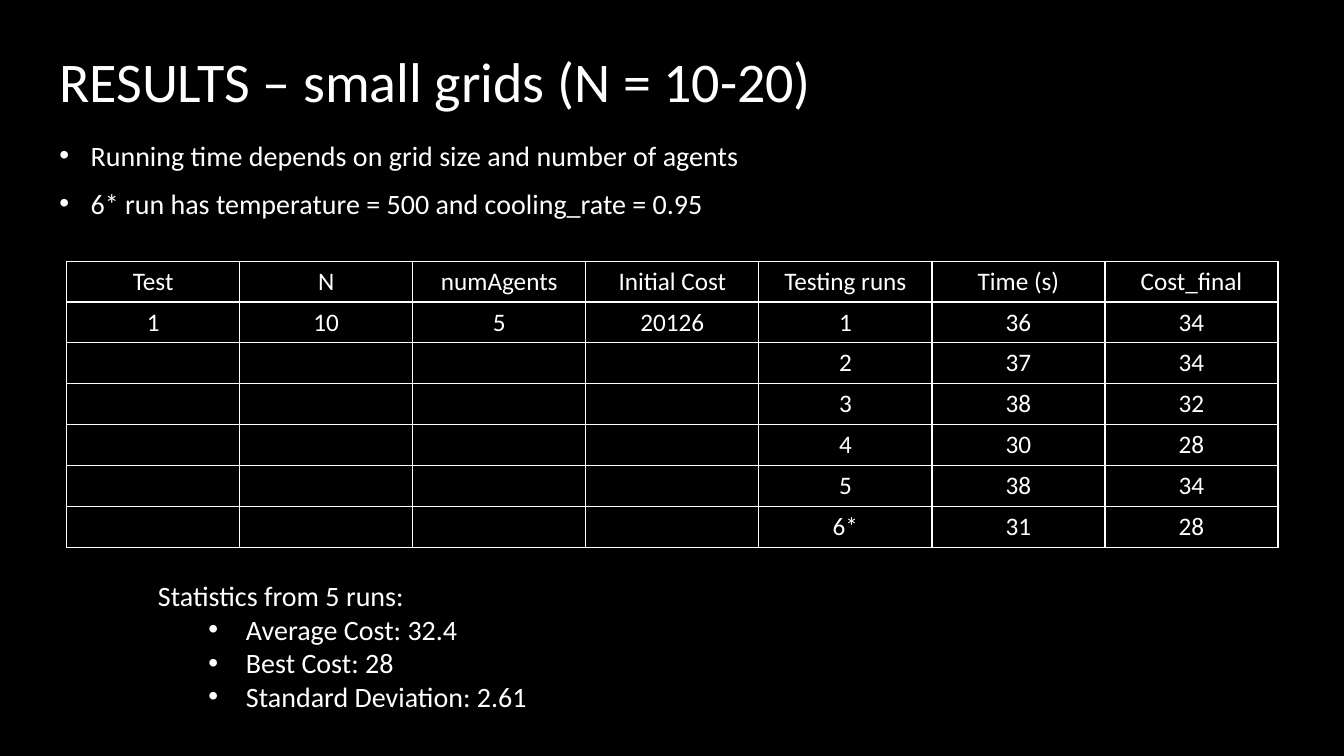
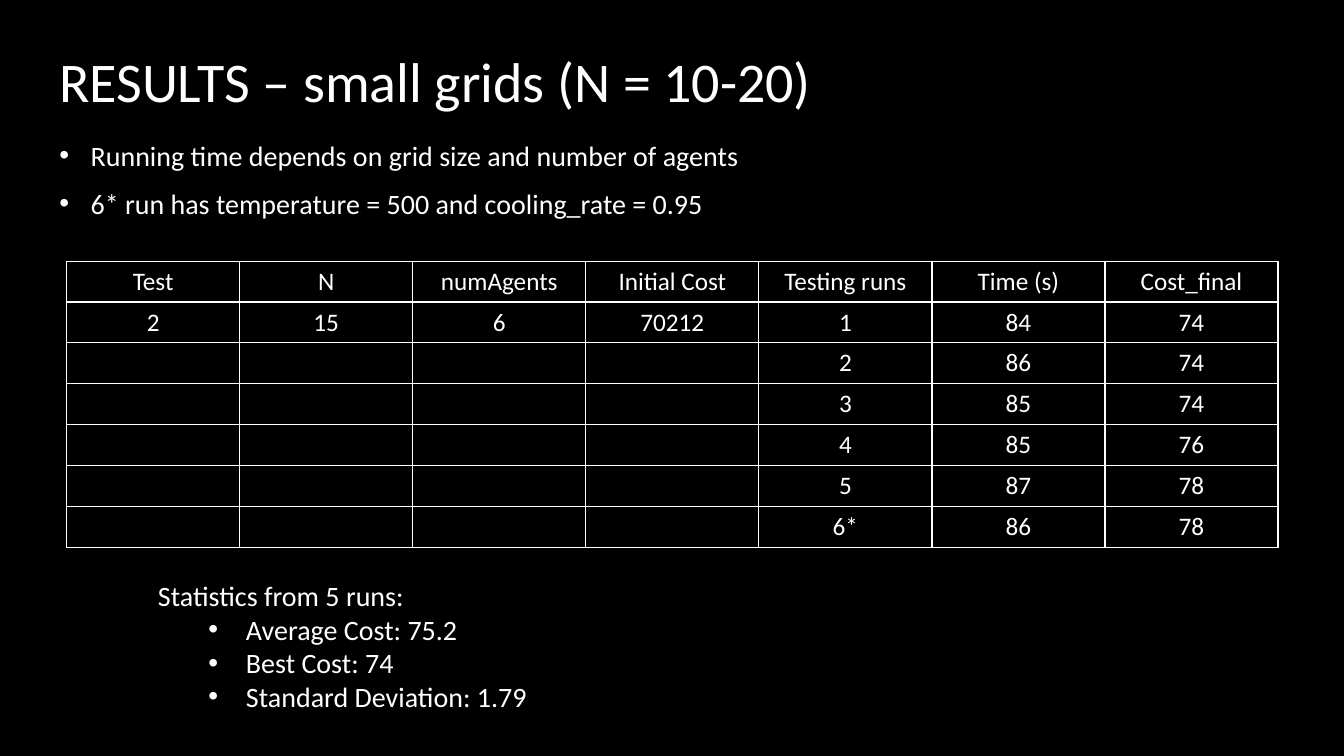
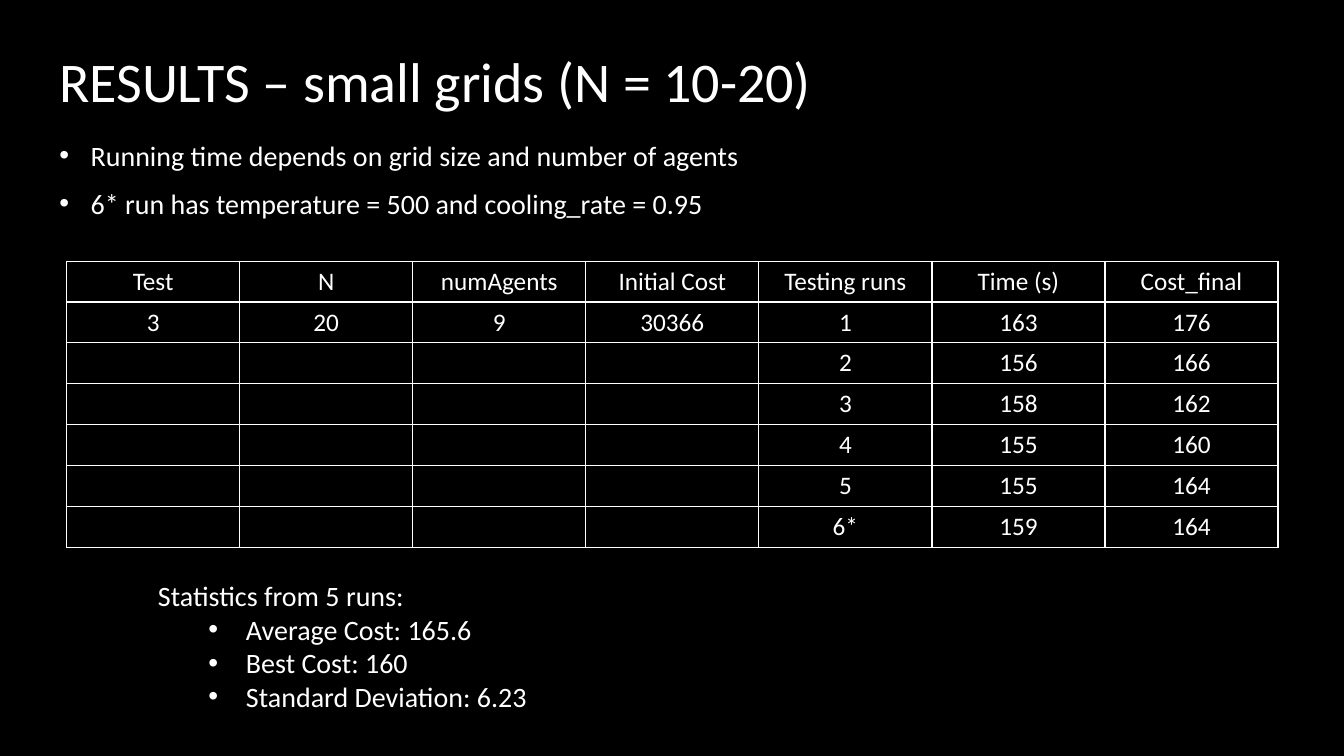
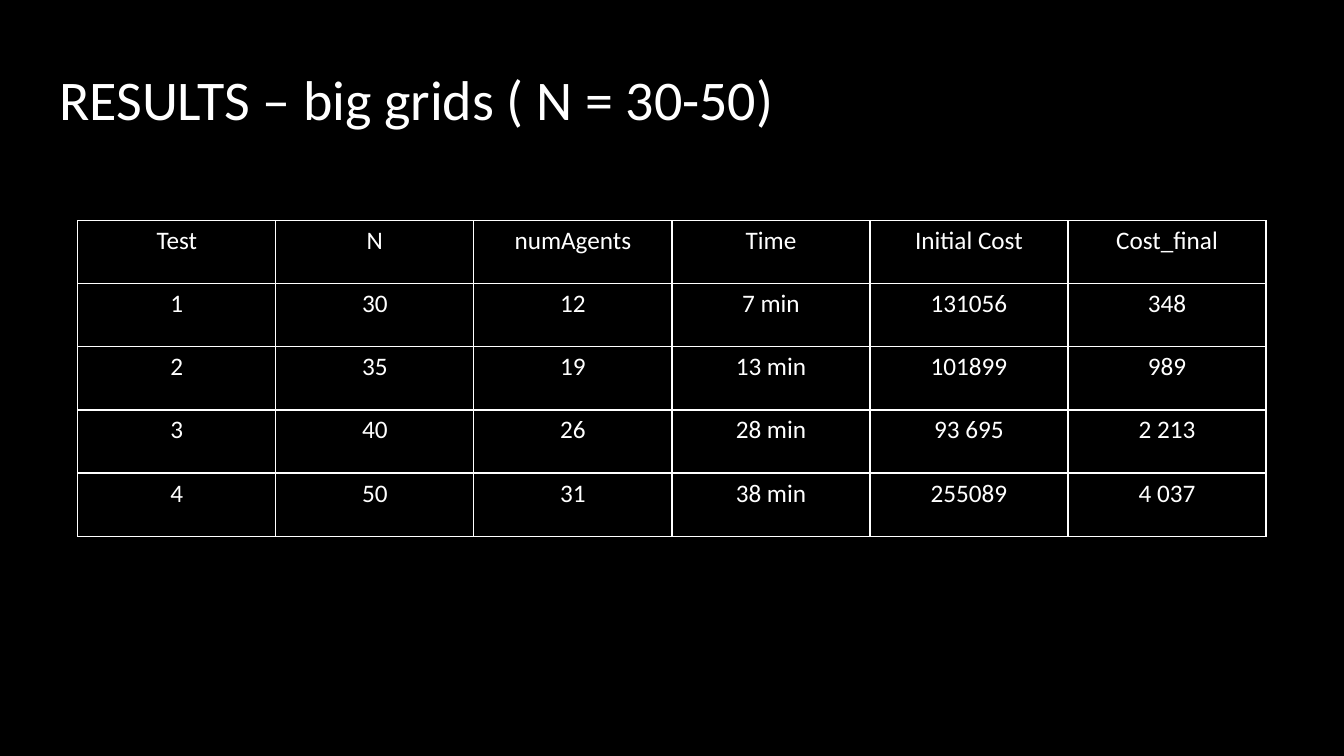
from dataclasses import dataclass

import pptx
import pptx.dml.color
import pptx.enum.text
import pptx.oxml
import pptx.oxml.ns
import pptx.util
from pptx.util import Cm


@dataclass(frozen=True)
class Theme:
    font: str = "Calibri"
    ink: str = "FFFFFF"
    background: str = "000000"
    title_size: int = 40
    text_size: int = 20
    table_size: int = 18
    border_width: int = 1


THEME = Theme()
ALIGN = pptx.enum.text.PP_ALIGN
ANCHOR = pptx.enum.text.MSO_ANCHOR
AUTO_SIZE = pptx.enum.text.MSO_AUTO_SIZE
TITLE_AND_BODY, TITLE_ONLY = 1, 5


def xml_element(markup):
    return pptx.oxml.parse_xml(markup.replace(">", f" {pptx.oxml.ns.nsdecls('a')}>", 1))


class Deck:
    def __init__(self, theme):
        self.theme = theme
        self.presentation = pptx.Presentation()
        self.presentation.slide_width = Cm(33.87)
        self.presentation.slide_height = Cm(19.05)
        self.slide = None
        backdrop = self.presentation.slide_master.background.fill
        backdrop.solid()
        backdrop.fore_color.rgb = pptx.dml.color.RGBColor.from_string(theme.background)

    def style(self, paragraph, size, align=ALIGN.LEFT):
        paragraph.alignment = align
        paragraph.font.name = self.theme.font
        paragraph.font.size = pptx.util.Pt(size)
        paragraph.font.color.rgb = pptx.dml.color.RGBColor.from_string(self.theme.ink)

    def bullet(self, paragraph, indent, hanging):
        properties = paragraph._p.get_or_add_pPr()
        properties.set("marL", str(indent))
        properties.set("indent", str(-hanging))
        marks = (xml_element('<a:buFont typeface="Arial"></a:buFont>'),
                 xml_element('<a:buChar char="•"></a:buChar>'))
        # Bullet marks precede the default run properties
        for mark in marks:
            properties.find(pptx.oxml.ns.qn("a:defRPr")).addprevious(mark)

    def place(self, placeholder, top, height):
        placeholder.left, placeholder.top = Cm(1.24), Cm(top)
        placeholder.width, placeholder.height = Cm(28.14), Cm(height)
        placeholder.text_frame.auto_size = AUTO_SIZE.NONE
        return placeholder.text_frame

    def new_slide(self, layout, title, title_top=0):
        self.slide = self.presentation.slides.add_slide(
            self.presentation.slide_layouts[layout])
        frame = self.place(self.slide.shapes.title, title_top, 4.04)
        frame.vertical_anchor = ANCHOR.MIDDLE
        frame.text = title
        self.style(frame.paragraphs[0], self.theme.title_size)

    def body(self, points):
        frame = self.place(self.slide.placeholders[1], 3.3, 4.62)
        frame.vertical_anchor = ANCHOR.TOP
        frame.margin_top = Cm(0.19)
        frame.text = "\n".join(points)
        for paragraph in frame.paragraphs:
            self.style(paragraph, self.theme.text_size)
            paragraph.space_before = pptx.util.Pt(0)
            paragraph.space_after = pptx.util.Pt(10)
            self.bullet(paragraph, Cm(0.79), Cm(0.79))

    def table(self, rows, left, top, width, row_height):
        columns = len(rows[0])
        grid = self.slide.shapes.add_table(
            len(rows), columns, Cm(left), Cm(top),
            Cm(width), Cm(row_height * len(rows))).table
        grid.first_row = grid.horz_banding = False
        for row, values in zip(grid.rows, rows):
            for cell, value in zip(row.cells, values):
                cell.text = value
                cell.fill.background()
                self.style(cell.text_frame.paragraphs[0],
                           self.theme.table_size, ALIGN.CENTER)
                self.borders(cell)

    def borders(self, cell):
        properties = cell._tc.get_or_add_tcPr()
        width = pptx.util.Pt(self.theme.border_width)
        for order, side in enumerate("LRTB"):
            properties.insert(order, xml_element(
                f'<a:ln{side} w="{width}"><a:solidFill>'
                f'<a:srgbClr val="{self.theme.ink}"/></a:solidFill></a:ln{side}>'))

    def statistics(self, heading, lines):
        frame = self.slide.shapes.add_textbox(
            Cm(3.73), Cm(14.45), Cm(30.13), Cm(3.68)).text_frame
        frame.word_wrap = True
        frame.auto_size = AUTO_SIZE.SHAPE_TO_FIT_TEXT
        frame.text = "\n".join([heading, *lines])
        for paragraph in frame.paragraphs:
            self.style(paragraph, self.theme.text_size)
        for paragraph in frame.paragraphs[1:]:
            paragraph.level = 1
            self.bullet(paragraph, Cm(2.22), Cm(0.95))


# Content
SMALL_POINTS = ["Running time depends on grid size and number of agents",
                "6* run has temperature = 500 and cooling_rate = 0.95"]
SMALL_HEADER = ["Test", "N", "numAgents", "Initial Cost",
                "Testing runs", "Time (s)", "Cost_final"]
RUNS = ["1", "2", "3", "4", "5", "6*"]

# Setup (test, N, agents, initial cost), times, final costs, (average, best, deviation)
SMALL_TESTS = [
    (["1", "10", "5", "20126"], [36, 37, 38, 30, 38, 31],
     [34, 34, 32, 28, 34, 28], ("32.4", "28", "2.61")),
    (["2", "15", "6", "70212"], [84, 86, 85, 85, 87, 86],
     [74, 74, 74, 76, 78, 78], ("75.2", "74", "1.79")),
    (["3", "20", "9", "30366"], [163, 156, 158, 155, 155, 159],
     [176, 166, 162, 160, 164, 164], ("165.6", "160", "6.23")),
]
BIG_TESTS = [
    ["Test", "N", "numAgents", "Time", "Initial Cost", "Cost_final"],
    ["1", "30", "12", "7 min", "131056", "348"],
    ["2", "35", "19", "13 min", "101899", "989"],
    ["3", "40", "26", "28 min", "93 695", "2 213"],
    ["4", "50", "31", "38 min", "255089", "4 037"],
]


def main():
    deck = Deck(THEME)

    # Small grids: one slide per test
    for setup, times, costs, (average, best, deviation) in SMALL_TESTS:
        deck.new_slide(TITLE_AND_BODY, "RESULTS – small grids (N = 10-20)")
        deck.body(SMALL_POINTS)
        rows = [SMALL_HEADER]
        for index, (run, time, cost) in enumerate(zip(RUNS, times, costs)):
            leading = setup if index == 0 else [""] * len(setup)
            rows.append([*leading, run, str(time), str(cost)])
        deck.table(rows, left=1.68, top=6.58, width=30.53, row_height=1.03)
        deck.statistics("Statistics from 5 runs:",
                        [f"Average Cost: {average}", f"Best Cost: {best}",
                         f"Standard Deviation: {deviation}"])

    # Big grids
    deck.new_slide(TITLE_ONLY, "RESULTS – big grids ( N = 30-50)", title_top=0.46)
    deck.table(BIG_TESTS, left=1.96, top=5.56, width=29.95, row_height=1.59)

    deck.presentation.save("out.pptx")


if __name__ == "__main__":
    main()
